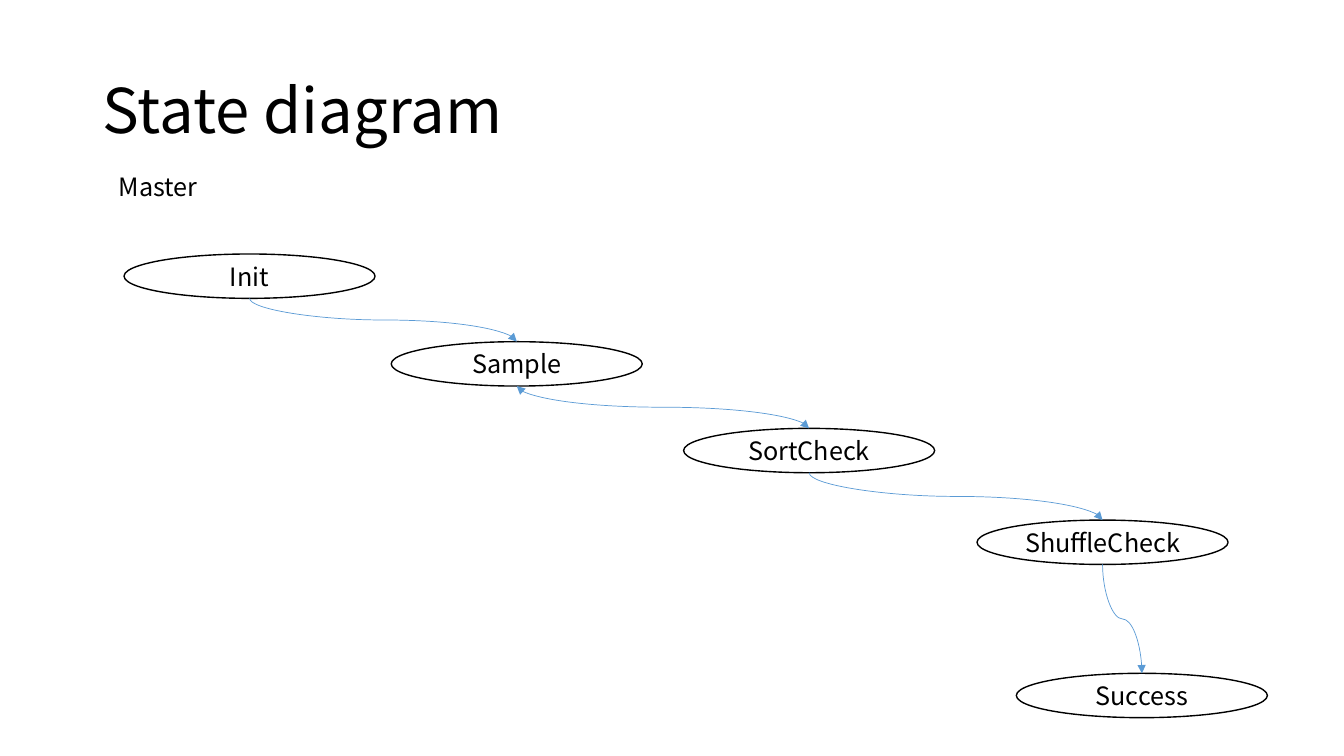
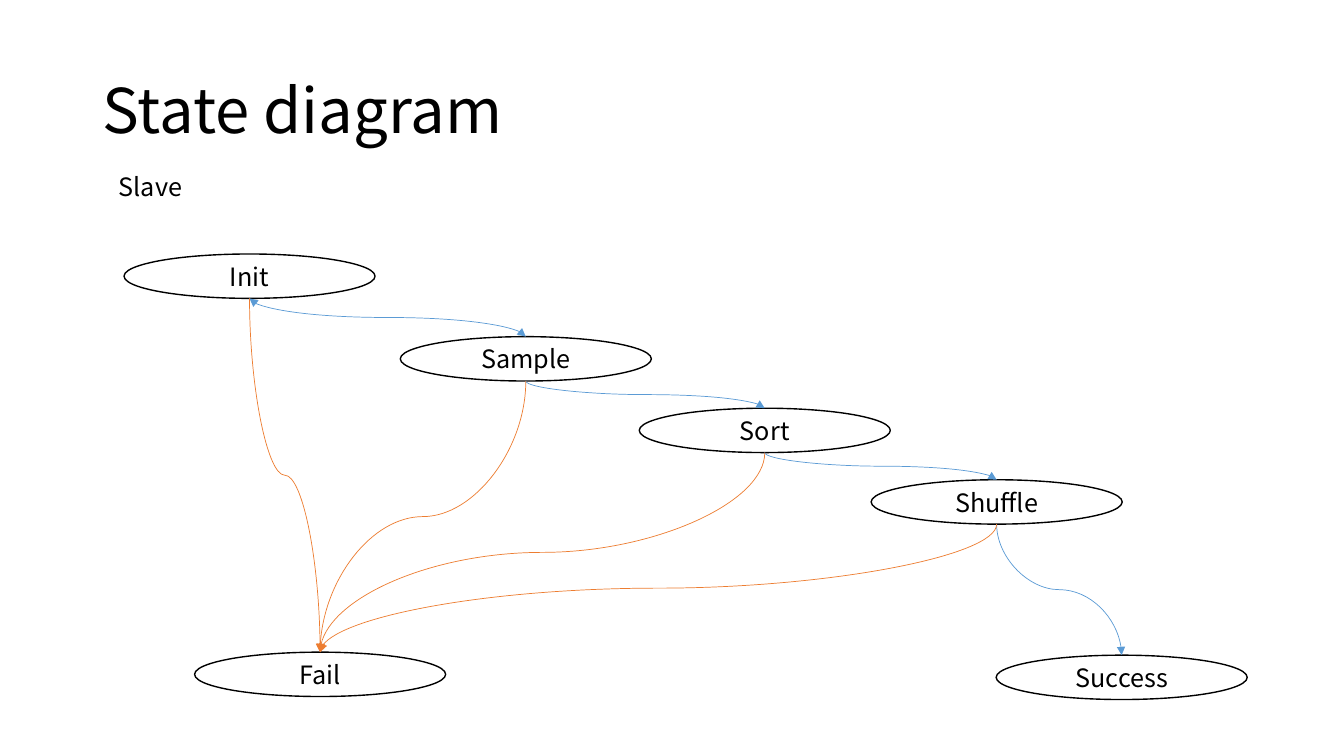
from dataclasses import dataclass

from lxml import etree
from pptx import Presentation
from pptx.dml.color import RGBColor
from pptx.enum.shapes import MSO_CONNECTOR, MSO_SHAPE
from pptx.enum.text import MSO_ANCHOR, MSO_AUTO_SIZE, PP_ALIGN
from pptx.oxml.ns import qn
from pptx.util import Inches, Pt

ELLIPSE = MSO_SHAPE.OVAL
CURVE = MSO_CONNECTOR.CURVE
MIDDLE = MSO_ANCHOR.MIDDLE
LEFT, CENTER = PP_ALIGN.LEFT, PP_ALIGN.CENTER
FIT_SHAPE, NO_FIT = MSO_AUTO_SIZE.SHAPE_TO_FIT_TEXT, MSO_AUTO_SIZE.NONE
TOP_SITE, BOTTOM_SITE = 0, 4  # connection sites of an ellipse


@dataclass(frozen=True)
class Theme:
    font: str = "Noto Sans CJK KR"
    ink: RGBColor = RGBColor(0x00, 0x00, 0x00)
    paper: RGBColor = RGBColor(0xFF, 0xFF, 0xFF)
    step: RGBColor = RGBColor(0x5B, 0x9B, 0xD5)
    failure: RGBColor = RGBColor(0xED, 0x7D, 0x31)
    title_size: Pt = Pt(44)
    body_size: Pt = Pt(18)
    outline: Pt = Pt(1)
    arrow: Pt = Pt(0.5)


THEME = Theme()
STATE_W, STATE_H = 2.49, 0.44

# Each diagram: role, states (left, top), arrows (source, target, colour, two-way)
DIAGRAMS = [
    ("Master",
     {"Init": (1.23, 2.52), "Sample": (3.88, 3.39), "SortCheck": (6.78, 4.25),
      "ShuffleCheck": (9.69, 5.16), "Success": (10.08, 6.68)},
     [("Init", "Sample", THEME.step, False),
      ("Sample", "SortCheck", THEME.step, True),
      ("SortCheck", "ShuffleCheck", THEME.step, False),
      ("ShuffleCheck", "Success", THEME.step, False)]),
    ("Slave",
     {"Init": (1.23, 2.52), "Fail": (1.93, 6.47), "Sample": (3.97, 3.34),
      "Sort": (6.34, 4.05), "Shuffle": (8.64, 4.76), "Success": (9.88, 6.5)},
     [("Init", "Sample", THEME.step, True),
      ("Sample", "Sort", THEME.step, False),
      ("Sort", "Shuffle", THEME.step, False),
      ("Shuffle", "Success", THEME.step, False)]
     + [(state, "Fail", THEME.failure, False)
        for state in ("Init", "Sample", "Sort", "Shuffle")]),
]


def write(frame, text, size, align):
    frame.text = text
    paragraph = frame.paragraphs[0]
    paragraph.alignment = align
    font = paragraph.runs[0].font
    font.name, font.size = THEME.font, size
    font.color.rgb = THEME.ink
    return paragraph


def link(slide, source, target, color, two_way):
    """Curve from the bottom of source to the top of target."""
    x1, y1 = source.left + source.width // 2, source.top + source.height
    x2, y2 = target.left + target.width // 2, target.top
    # The curve runs vertically, so its frame is turned a quarter about its centre
    center_x, center_y = (x1 + x2) // 2, (y1 + y2) // 2
    half_w, half_h = (y2 - y1) // 2, abs(x2 - x1) // 2
    rightward = x2 > x1
    side = half_w if rightward else -half_w
    curve = slide.shapes.add_connector(
        CURVE, center_x + side, center_y - half_h, center_x - side, center_y + half_h)
    properties = curve._element.spPr
    properties.find(qn("a:xfrm")).set("rot", "16200000" if rightward else "5400000")

    # Glue both ends to the states
    ends = curve._element.find(".//" + qn("p:cNvCxnSpPr"))
    for tag, state, site in (("a:stCxn", source, BOTTOM_SITE), ("a:endCxn", target, TOP_SITE)):
        etree.SubElement(ends, qn(tag), id=str(state.shape_id), idx=str(site))

    # Line and arrowheads
    curve.line.color.rgb = color
    curve.line.width = THEME.arrow
    line = properties.find(qn("a:ln"))
    for tag in ("a:headEnd", "a:tailEnd") if two_way else ("a:tailEnd",):
        etree.SubElement(line, qn(tag), type="triangle")
    etree.SubElement(properties, qn("a:effectLst"))


deck = Presentation()
deck.slide_width, deck.slide_height = Inches(13.33), Inches(7.5)
title_only = deck.slide_layouts[5]

for role, states, arrows in DIAGRAMS:
    slide = deck.slides.add_slide(title_only)

    # Title
    title = slide.shapes.title
    title.left, title.top = Inches(0.92), Inches(0.4)
    title.width, title.height = Inches(11.5), Inches(1.45)
    heading = write(title.text_frame, "State diagram", THEME.title_size, LEFT)
    heading.line_spacing = 0.9
    title.text_frame.vertical_anchor = MIDDLE
    title.text_frame.auto_size = NO_FIT

    # Role label
    label = slide.shapes.add_textbox(Inches(1.08), Inches(1.65), Inches(2.47), Inches(0.4))
    label.text_frame.word_wrap = True
    label.text_frame.auto_size = FIT_SHAPE
    write(label.text_frame, role, THEME.body_size, LEFT)

    # States
    ovals = {}
    for name, (left, top) in states.items():
        oval = slide.shapes.add_shape(
            ELLIPSE, Inches(left), Inches(top), Inches(STATE_W), Inches(STATE_H))
        oval.shadow.inherit = False
        oval.fill.solid()
        oval.fill.fore_color.rgb = THEME.paper
        oval.line.color.rgb = THEME.ink
        oval.line.width = THEME.outline
        oval.text_frame.word_wrap = False
        oval.text_frame.vertical_anchor = MIDDLE
        write(oval.text_frame, name, THEME.body_size, CENTER)
        ovals[name] = oval

    # Transitions
    for source, target, color, two_way in arrows:
        link(slide, ovals[source], ovals[target], color, two_way)

deck.save("out.pptx")
